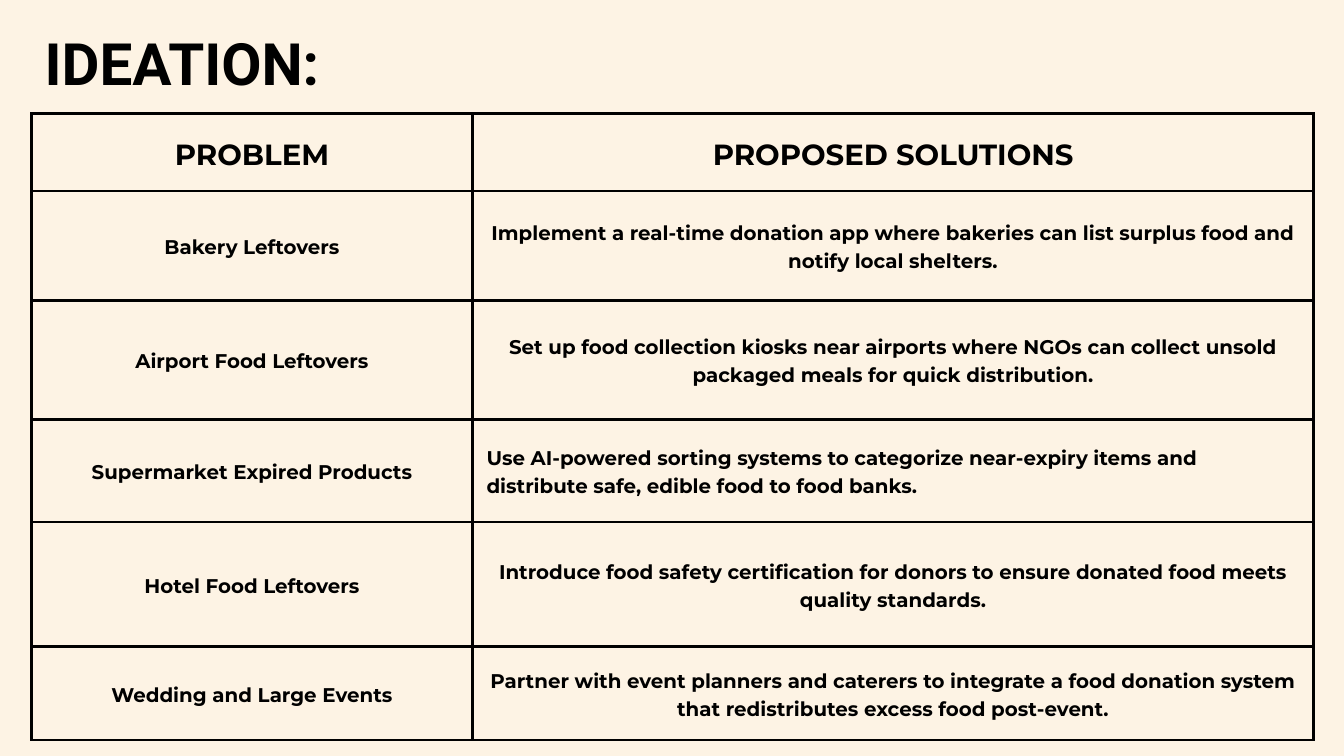
from typing import NamedTuple

from lxml.etree import SubElement
from pptx import Presentation
from pptx.dml.color import RGBColor
from pptx.enum.text import MSO_ANCHOR, PP_ALIGN
from pptx.oxml.ns import qn
from pptx.util import Inches, Pt

CREAM = RGBColor(0xFD, 0xF3, 0xE4)
BLACK = RGBColor(0, 0, 0)
MID, LEFT = PP_ALIGN.CENTER, PP_ALIGN.LEFT
EDGES = ("a:lnL", "a:lnR", "a:lnT", "a:lnB")
PAD = Inches(0.21)
CELL = {
    "margin_left": PAD, "margin_right": PAD,
    "margin_top": PAD, "margin_bottom": PAD,
    "vertical_anchor": MSO_ANCHOR.MIDDLE,
}
BOX = {
    "margin_left": 0, "margin_right": 0,
    "margin_top": 0, "margin_bottom": 0,
    "word_wrap": True,
}


class Style(NamedTuple):
    font: str
    size: float
    lead: float


class Row(NamedTuple):
    high: float
    left: str
    right: str
    style: Style
    align: PP_ALIGN = MID


TITLE = Style("Roboto", 62.5, 87.5)
HEAD = Style("Montserrat", 31.2, 43.8)
BODY = Style("Montserrat", 21.2, 29.8)
COLS = (6.56, 12.52)
ROWS = (
    Row(1.15, "PROBLEM", "PROPOSED SOLUTIONS", HEAD),
    Row(1.63, "Bakery Leftovers",
        "Implement a real-time donation app where bakeries can list "
        "surplus food and notify local shelters.", BODY),
    Row(1.77, "Airport Food Leftovers",
        "Set up food collection kiosks near airports where NGOs can collect "
        "unsold packaged meals for quick distribution.", BODY),
    Row(1.53, "Supermarket Expired Products",
        "Use AI-powered sorting systems to categorize near-expiry items and "
        "distribute safe, edible food to food banks.", BODY, LEFT),
    Row(1.85, "Hotel Food Leftovers",
        "Introduce food safety certification for donors to ensure donated "
        "food meets quality standards.", BODY),
    Row(1.39, "Wedding and Large Events",
        "Partner with event planners and caterers to integrate a food "
        "donation system that redistributes excess food post-event.", BODY),
)


def apply(item, values: dict) -> None:
    for name, value in values.items():
        setattr(item, name, value)


def write(frame, text: str, style: Style, align: PP_ALIGN = MID) -> None:
    para = frame.paragraphs[0]
    apply(para, {"alignment": align, "line_spacing": Pt(style.lead)})
    run = para.add_run()
    run.text = text
    apply(run.font, {"name": style.font, "size": Pt(style.size), "bold": True})
    run.font.color.rgb = BLACK


def frame_cell(cell, width: float = 3) -> None:
    props = cell._tc.get_or_add_tcPr()
    for edge in EDGES:
        line = SubElement(props, qn(edge), w=str(Pt(width)))
        fill = SubElement(line, qn("a:solidFill"))
        SubElement(fill, qn("a:srgbClr"), val=str(BLACK))


def draw_cell(cell, text: str, style: Style, align: PP_ALIGN) -> None:
    apply(cell, CELL)
    frame_cell(cell)
    cell.fill.background()
    write(cell.text_frame, text, style, align)


def draw_table(slide) -> None:
    high = sum(row.high for row in ROWS)
    table = slide.shapes.add_table(
        len(ROWS), len(COLS), Inches(0.47), Inches(1.69),
        Inches(sum(COLS)), Inches(high)).table
    apply(table, {"first_row": False, "horz_banding": False})
    for col, wide in zip(table.columns, COLS):
        col.width = Inches(wide)
    for i, row in enumerate(ROWS):
        table.rows[i].height = Inches(row.high)
        draw_cell(table.cell(i, 0), row.left, row.style, MID)
        draw_cell(table.cell(i, 1), row.right, row.style, row.align)


def draw_title(slide) -> None:
    box = slide.shapes.add_textbox(
        Inches(0.47), Inches(0.23), Inches(4.48), Inches(1.17))
    apply(box.text_frame, BOX)
    write(box.text_frame, "IDEATION:", TITLE)


def main() -> None:
    # Page
    deck = Presentation()
    apply(deck, {"slide_width": Inches(20), "slide_height": Inches(11.25)})
    slide = deck.slides.add_slide(deck.slide_layouts[6])
    back = slide.background.fill
    back.solid()
    back.fore_color.rgb = CREAM

    # Content
    draw_table(slide)
    draw_title(slide)
    deck.save("out.pptx")


if __name__ == "__main__":
    main()
